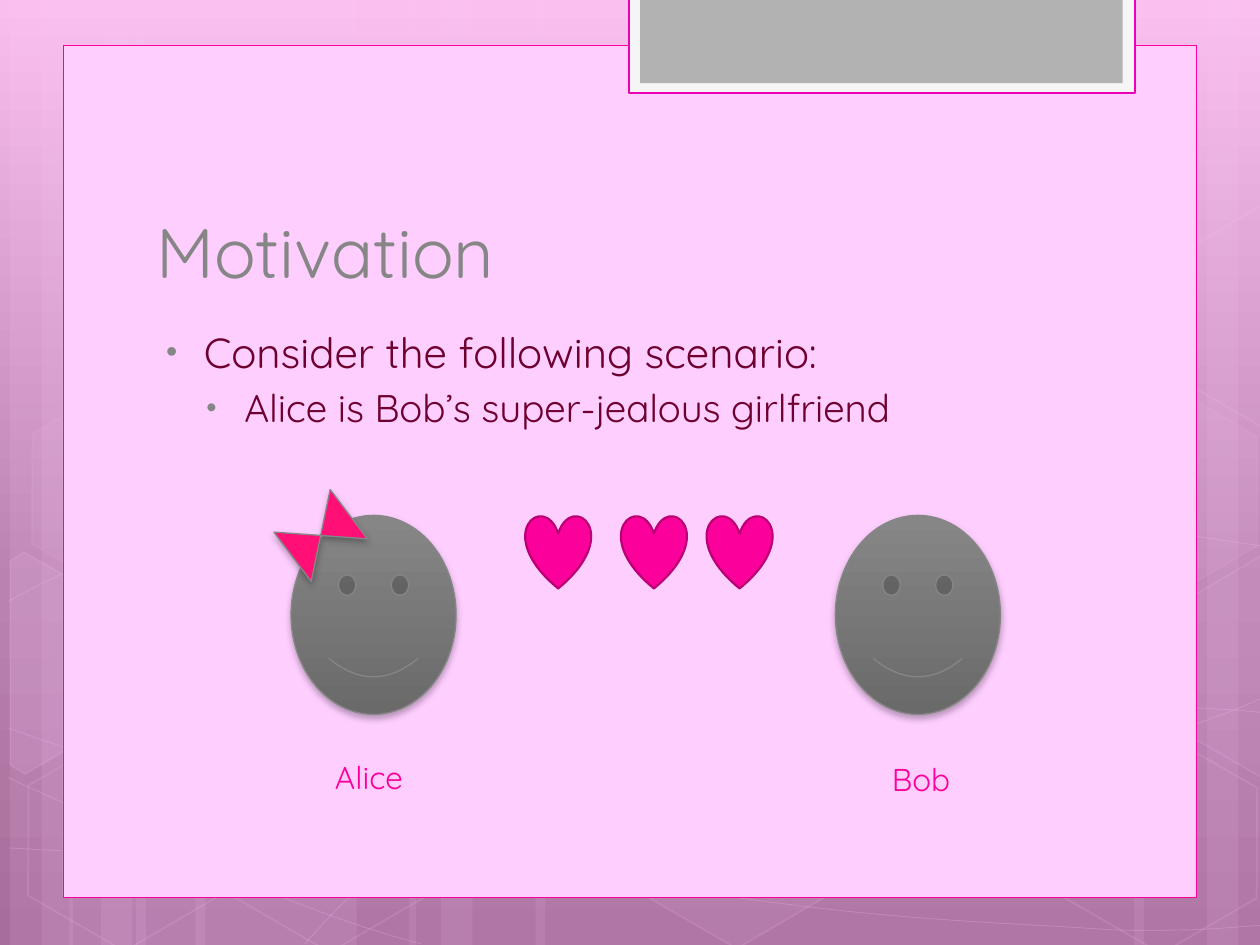
from math import cos, radians, sin
from typing import NamedTuple, Optional

from pptx import Presentation
from pptx.dml.color import RGBColor
from pptx.enum.shapes import MSO_SHAPE
from pptx.enum.text import MSO_ANCHOR, MSO_AUTO_SIZE, PP_ALIGN
from pptx.oxml.ns import qn
from pptx.util import Inches, Pt
from lxml import etree

RECT, HEXAGON = MSO_SHAPE.RECTANGLE, MSO_SHAPE.HEXAGON
FACE, HEART, BOW = MSO_SHAPE.SMILEY_FACE, MSO_SHAPE.HEART, MSO_SHAPE.FLOWCHART_COLLATE
LEFT, BOTTOM, TOP = PP_ALIGN.LEFT, MSO_ANCHOR.BOTTOM, MSO_ANCHOR.TOP
FIXED = MSO_AUTO_SIZE.NONE

FONT = "Quicksand"
PALE, PINK, GREY, WINE = "FECEFF", "FC009B", "868686", "6E002F"
TILT = 30


class Style(NamedTuple):
    fill: Optional[str] = None
    fill_alpha: int = 100
    line: Optional[str] = None
    width: float = 1
    line_alpha: int = 100
    shadow: bool = False


class Hexagon(NamedTuple):
    left: float
    top: float
    fill_alpha: int
    line_alpha: int


class CutHexagon(NamedTuple):
    points: list
    center: tuple
    fill_alpha: int


class Person(NamedTuple):
    name: str
    face_left: float
    label_left: float
    label_top: float


# (left, width) of the full-height bands
BANDS = [(1.08, 1.75), (0.08, 0.5), (0.33, 0.83), (1.55, 1.75), (0.55, 0.5), (0.8, 0.83),
         (7.33, 1.75), (9.58, 0.5), (9, 0.83), (4.25, 3.08), (3.25, 0.5), (3.5, 0.83)]

# Each curve is a start point followed by three Bezier points per segment
CURVES = [
    [(0.07, 6.73), (0.61, 6.76), (1.15, 6.79), (1.9, 6.78), (2.65, 6.77), (3.58, 6.75),
     (4.58, 6.65), (5.58, 6.55), (7, 6.36), (7.92, 6.17), (8.83, 5.98), (9.77, 5.68),
     (10.07, 5.51)],
    [(0.07, 4.77), (0.36, 4.61), (0.65, 4.46), (1.21, 4.31), (1.78, 4.16), (2.59, 3.94),
     (3.47, 3.87), (4.36, 3.8), (5.44, 3.79), (6.54, 3.87), (7.64, 3.95), (9.47, 4.26),
     (10.07, 4.34)],
    [(0.06, 6.17), (1.27, 6.72), (2.47, 7.27), (3.34, 7.49)],
    [(0.07, 5.78), (0.38, 5.89), (0.7, 6), (1.28, 6.16), (1.86, 6.31), (2.73, 6.56),
     (3.57, 6.73), (4.4, 6.9), (5.45, 7.08), (6.28, 7.18), (7.11, 7.29), (8, 7.33),
     (8.53, 7.36), (9.05, 7.4), (9.19, 7.38), (9.45, 7.38), (9.71, 7.37), (9.89, 7.35),
     (10.07, 7.34)],
    [(2.42, 7.49), (2.6, 7.29), (2.78, 7.09), (3.02, 6.91), (3.26, 6.73), (3.6, 6.53),
     (3.88, 6.39), (4.16, 6.25), (4.33, 6.19), (4.7, 6.09), (5.06, 5.99), (5.73, 5.85),
     (6.08, 5.78), (6.44, 5.71), (6.49, 5.71), (6.8, 5.69), (7.11, 5.66), (7.6, 5.63),
     (7.94, 5.62), (8.29, 5.61), (8.86, 5.62), (8.86, 5.62), (9.08, 5.62), (9.31, 5.62),
     (9.53, 5.62), (9.71, 5.63), (9.88, 5.64), (9.97, 5.65), (10.06, 5.66), (10.03, 5.65),
     (10.06, 5.66)],
]

HEXAGONS = [
    Hexagon(3.34, 0.36, 4, 8), Hexagon(4.97, 5.89, 6, 12), Hexagon(0.11, 5.91, 0, 12),
    Hexagon(0.14, 3.12, 7, 8), Hexagon(1.74, 5.92, 0, 12), Hexagon(7.53, 4.53, 10, 12),
    Hexagon(8.34, 5.93, 0, 12), Hexagon(8.34, 3.14, 7, 8),
]

# Hexagons trimmed by the slide's edge
CUT_HEXAGONS = [
    CutHexagon([(0.08, 4.45), (0.19, 4.38), (0.96, 4.82), (0.95, 5.7), (0.2, 6.14),
                (0.08, 6.07)], (0.36, 5.35), 10),
    CutHexagon([(9.26, 4.85), (10.01, 4.41), (10.09, 4.46), (10.09, 6.13), (10.02, 6.17),
                (9.26, 5.73)], (9.85, 5.2), 4),
    CutHexagon([(9.26, 2.07), (10.01, 1.63), (10.1, 1.68), (10.09, 3.35), (10.02, 3.39),
                (9.26, 2.95)], (9.85, 2.41), 0),
]

PEOPLE = [Person("Alice", 2.31, 2.56, 5.97), Person("Bob", 6.63, 6.98, 5.98)]
HEART_LEFTS = [4.17, 4.93, 5.61]


def rgb(value: str) -> RGBColor:
    return RGBColor.from_string(value)


def add_xml(parent, tag: str, **attributes):
    return etree.SubElement(parent, qn(tag), {k: str(v) for k, v in attributes.items()})


def set_gradient(fill, owner, stops: list) -> None:
    """Fill from top to bottom with (percent, colour) stops; owner holds the fill's XML."""
    fill.gradient()
    fill.gradient_angle = 270
    stop_list = next(owner.iter(qn("a:gsLst")))
    for old_stop in list(stop_list):
        stop_list.remove(old_stop)
    for percent, color in stops:
        stop = add_xml(stop_list, "a:gs", pos=percent * 1000)
        add_xml(stop, "a:srgbClr", val=color)


def set_style(shape, style: Style) -> None:
    shape.shadow.inherit = False
    if style.fill and style.fill_alpha:
        shape.fill.solid()
        shape.fill.fore_color.rgb = rgb(style.fill)
    else:
        shape.fill.background()
    if style.line:
        shape.line.color.rgb = rgb(style.line)
        shape.line.width = Pt(style.width)
    else:
        shape.line.fill.background()
    properties = shape.element.spPr
    for route, alpha in (("a:solidFill", style.fill_alpha), ("a:ln", style.line_alpha)):
        holder = properties.find(qn(route))
        if holder is not None and alpha < 100:
            for color in holder.iter(qn("a:srgbClr")):
                add_xml(color, "a:alpha", val=alpha * 1000)
    if style.shadow:
        shadow = add_xml(properties.find(qn("a:effectLst")), "a:outerShdw", blurRad=Pt(4),
                         dist=Pt(2), dir=5400000, algn="ctr", rotWithShape=0)
        add_xml(add_xml(shadow, "a:srgbClr", val="000000"), "a:alpha", val=28000)


def add_preset(slide, kind, left: float, top: float, width: float, height: float,
               style: Style, rotation: float = 0):
    shape = slide.shapes.add_shape(kind, Inches(left), Inches(top), Inches(width), Inches(height))
    shape.rotation = rotation
    set_style(shape, style)
    return shape


def add_outline(slide, points: list, style: Style, close: bool):
    corners = [(Inches(x), Inches(y)) for x, y in points]
    builder = slide.shapes.build_freeform(*corners[0])
    builder.add_line_segments(corners[1:], close=close)
    shape = builder.convert_to_shape()
    set_style(shape, style)
    return shape


def add_curve(slide, controls: list, style: Style) -> None:
    """Draw the control polygon, then turn every three lines into one Bezier segment."""
    shape = add_outline(slide, controls, style, False)
    lines = list(shape.element.iter(qn("a:lnTo")))
    for first in range(0, len(lines), 3):
        segment = add_xml(lines[first].getparent(), "a:cubicBezTo")
        for line in lines[first:first + 3]:
            segment.append(line[0])
            line.getparent().remove(line)


def turn_back(point: tuple, center: tuple) -> tuple:
    """Undo the tilt, which the shape's own rotation applies again."""
    dx, dy = point[0] - center[0], point[1] - center[1]
    c, s = cos(radians(TILT)), sin(radians(TILT))
    return center[0] + dx * c + dy * s, center[1] - dx * s + dy * c


def write(paragraph, text: str, *, size: float, color: str, bullet_margin: float = 0,
          level: int = 0) -> None:
    run = paragraph.add_run()
    run.text = text
    run.font.name, run.font.size, run.font.color.rgb = FONT, Pt(size), rgb(color)
    paragraph.alignment, paragraph.level = LEFT, level
    if bullet_margin:
        paragraph.space_before = Pt(size * 0.2)
        properties = paragraph._p.get_or_add_pPr()
        properties.set("marL", str(Inches(bullet_margin)))
        properties.set("indent", str(Inches(-0.3)))
        add_xml(add_xml(properties, "a:buClr"), "a:srgbClr", val=GREY)
        add_xml(properties, "a:buSzPct", val=76000)
        add_xml(properties, "a:buFont", typeface="Arial")
        add_xml(properties, "a:buChar", char="•")


def place_frame(shape, left: float, top: float, width: float, height: float, anchor):
    shape.left, shape.top = Inches(left), Inches(top)
    shape.width, shape.height = Inches(width), Inches(height)
    frame = shape.text_frame
    frame.word_wrap, frame.auto_size, frame.vertical_anchor = True, FIXED, anchor
    return frame


def add_frame(slide, *box: float):
    return place_frame(slide.shapes.add_textbox(0, 0, 0, 0), *box, TOP)


def draw_backdrop(slide) -> None:
    set_gradient(slide.background.fill, slide.element,
                 [(0, "FABEEC"), (62, "BA82AE"), (100, "A86E9B")])
    for left, width in BANDS:
        add_preset(slide, RECT, left, 0, width, 7.5, Style(PALE, 10))
    for controls in CURVES:
        add_curve(slide, controls, Style(line=PALE, width=0.5, line_alpha=20))
    for item in HEXAGONS:
        style = Style(PALE, item.fill_alpha, PALE, 1, item.line_alpha)
        hexagon = add_preset(slide, HEXAGON, item.left, item.top, 1.75, 1.52, style, TILT)
        hexagon.adjustments[0] = 0.285
    for item in CUT_HEXAGONS:
        points = [turn_back(point, item.center) for point in item.points]
        cut = add_outline(slide, points, Style(PALE, item.fill_alpha, PALE, 1, 12), True)
        cut.rotation = TILT
    add_preset(slide, RECT, 0.5, 0.36, 9, 6.76, Style(PALE, line=PINK, width=0.5))
    add_preset(slide, RECT, 4.99, -0.02, 4.02, 0.76, Style("F5F5F5", line="EB00B6", width=1.25))
    add_preset(slide, RECT, 5.08, -0.02, 3.83, 0.68, Style("B2B2B2"))


def draw_scenario(slide) -> None:
    for person in PEOPLE:
        face = add_preset(slide, FACE, person.face_left, 4.09, 1.31, 1.58,
                          Style(line=GREY, width=0.75, shadow=True))
        set_gradient(face.fill, face.element, [(0, GREY), (100, "6A6A6A")])
    for person in PEOPLE:
        label = add_frame(slide, person.label_left, person.label_top, 0.92, 0.4)
        write(label.paragraphs[0], person.name, size=18, color=PINK)
    for left in HEART_LEFTS:
        add_preset(slide, HEART, left, 4.09, 0.52, 0.58, Style(PINK, line="BA0073", width=1.25))
    add_preset(slide, BOW, 2.3, 3.97, 0.49, 0.56,
               Style("FF0F76", line=GREY, width=0.75, shadow=True), 52.9)


def main() -> None:
    deck = Presentation()
    deck.slide_width, deck.slide_height = Inches(10), Inches(7.5)
    slide = deck.slides.add_slide(deck.slide_layouts[5])
    draw_backdrop(slide)

    title = slide.shapes.title
    slide.shapes._spTree.append(title.element)  # bring in front of the panel
    title_frame = place_frame(title, 1.14, 1.12, 7.68, 1.25, BOTTOM)
    write(title_frame.paragraphs[0], "Motivation", size=40, color=GREY)

    body = add_frame(slide, 1.14, 2.54, 7.41, 3.84)
    write(body.paragraphs[0], "Consider the following scenario:", size=24, color=WINE,
          bullet_margin=0.38)
    write(body.add_paragraph(), "Alice is Bob’s super-jealous girlfriend", size=22, color=WINE,
          bullet_margin=0.7, level=1)
    draw_scenario(slide)
    deck.save("out.pptx")


if __name__ == "__main__":
    main()
